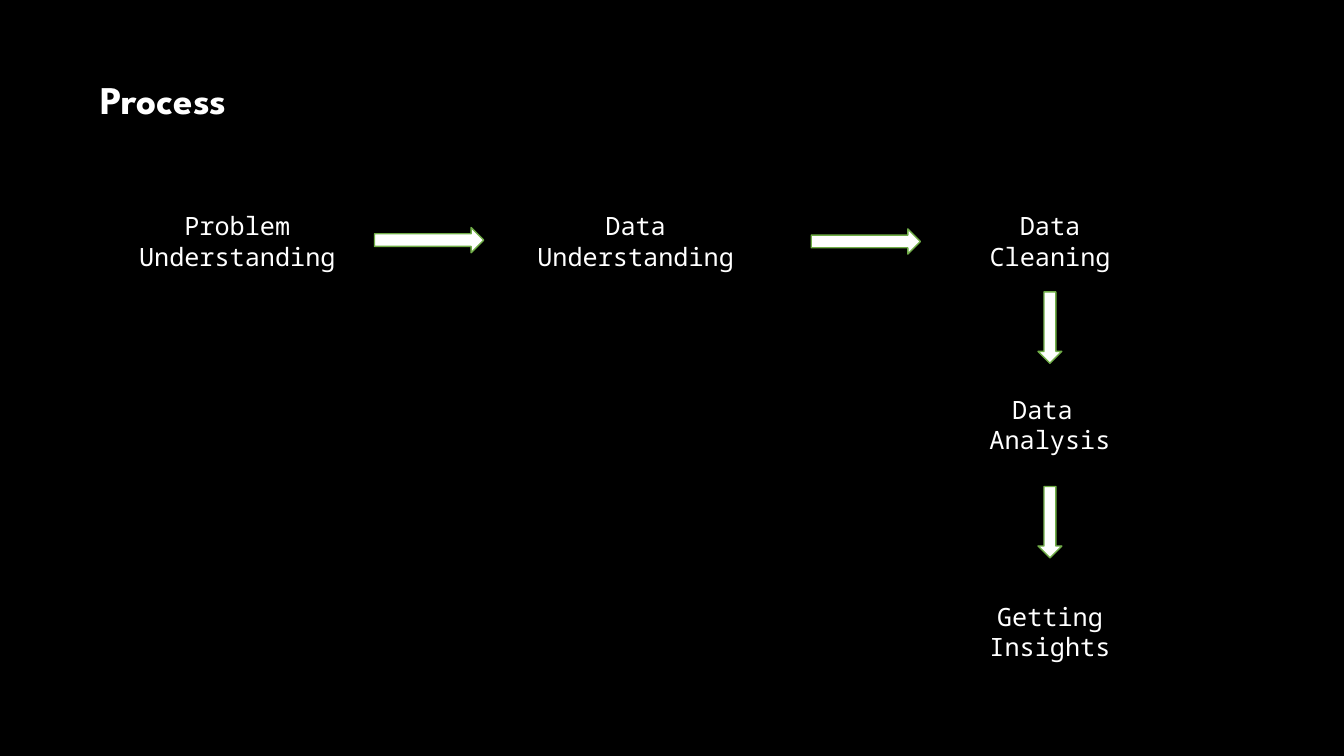
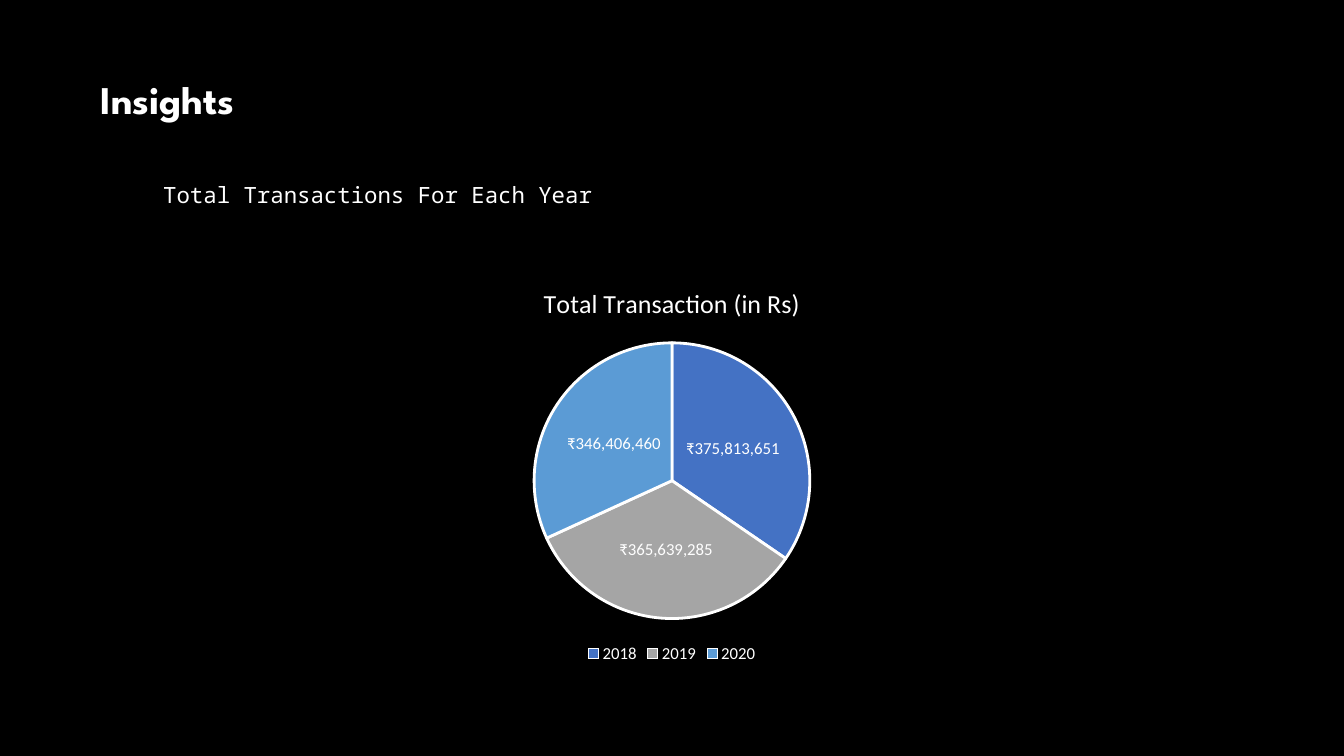
import pptx
import pptx.util
import pptx.chart.data
import pptx.dml.color
import pptx.enum.chart
import pptx.enum.shapes
import pptx.enum.text

Pt = pptx.util.Pt
RGBColor = pptx.dml.color.RGBColor
SHAPE = pptx.enum.shapes.MSO_SHAPE
CENTER = pptx.enum.text.PP_ALIGN.CENTER

BLACK = RGBColor(0x00, 0x00, 0x00)
WHITE = RGBColor(0xFF, 0xFF, 0xFF)
GREEN = RGBColor(0x70, 0xAD, 0x47)
BLUE = RGBColor(0x44, 0x72, 0xC4)
GRAY = RGBColor(0xA5, 0xA5, 0xA5)
SKY = RGBColor(0x5B, 0x9B, 0xD5)

TITLE_FONT, BODY_FONT, CHART_FONT = "League Spartan", "Noto Sans Mono", "Calibri"


def set_font(font, name, size, bold=False):
    font.name, font.size, font.bold = name, Pt(size), bold
    font.color.rgb = WHITE


def add_text(s, box, text, name, size, bold=False, align=None, spacing=None):
    tb = s.shapes.add_textbox(*map(Pt, box))
    tf = tb.text_frame
    tf.word_wrap = True
    tf.text = text
    for p in tf.paragraphs:
        set_font(p.font, name, size, bold)
        p.alignment = align
        p.line_spacing = spacing


def add_slide(prs, title):
    s = prs.slides.add_slide(prs.slide_layouts[6])
    s.background.fill.solid()
    s.background.fill.fore_color.rgb = BLACK
    add_text(s, (65, 50.5, 238, 41), title, TITLE_FONT, 28, bold=True)
    return s


def add_arrow(s, kind, x, y, w, h):
    """Block arrow centred on x, y."""
    sp = s.shapes.add_shape(kind, Pt(x - w / 2), Pt(y - h / 2), Pt(w), Pt(h))
    sp.shadow.inherit = False
    sp.fill.solid()
    sp.fill.fore_color.rgb = WHITE
    sp.line.color.rgb = GREEN
    sp.line.width = Pt(1)


def add_process(s, box):
    left, top, width, height = box
    right = left + width
    step_h = 51

    # Steps: text, centre x, top, width
    steps = [
        ("Problem Understanding", left + 85.5, top, 171),
        ("Data Understanding", left + 370, top, 168),
        ("Data Cleaning", right - 74, top, 148),
        ("Data \nAnalysis", right - 74, top + 131, 116),
        ("Getting Insights", right - 74, top + height - step_h, 116),
    ]
    for text, x, y, w in steps:
        add_text(s, (x - w / 2, y, w, step_h), text, BODY_FONT, 18, align=CENTER)

    # Arrows across, then down
    for x, y in ((222.5, 24.5), (534.5, 25.5)):
        add_arrow(s, SHAPE.RIGHT_ARROW, left + x, top + y, 78, 18)
    for y in (87, 226):
        add_arrow(s, SHAPE.DOWN_ARROW, right - 74, top + y, 17, 51)


def add_pie(s, box, title, years, totals):
    data = pptx.chart.data.CategoryChartData(number_format='"₹"#,##0')
    data.categories = years
    data.add_series(title, totals)
    chart = s.shapes.add_chart(
        pptx.enum.chart.XL_CHART_TYPE.PIE, *map(Pt, box), data).chart
    set_font(chart.font, CHART_FONT, 10)

    # Title and legend
    chart.has_title = True
    chart.chart_title.include_in_layout = False
    chart.chart_title.text_frame.text = title
    set_font(chart.chart_title.text_frame.paragraphs[0].font, CHART_FONT, 18.6)
    chart.has_legend = True
    chart.legend.position = pptx.enum.chart.XL_LEGEND_POSITION.BOTTOM
    chart.legend.include_in_layout = False
    set_font(chart.legend.font, CHART_FONT, 12)

    # Slices
    plot = chart.plots[0]
    plot.vary_by_categories = True
    for i, color in enumerate((BLUE, GRAY, SKY)):
        fmt = plot.series[0].points[i].format
        fmt.fill.solid()
        fmt.fill.fore_color.rgb = color
        fmt.line.color.rgb = WHITE
        fmt.line.width = Pt(2)

    # Labels
    plot.has_data_labels = True
    labels = plot.data_labels
    labels.show_value = True
    labels.show_percentage = False
    labels.number_format = '"₹"#,##0'
    labels.number_format_is_linked = False
    labels.position = pptx.enum.chart.XL_LABEL_POSITION.CENTER
    set_font(labels.font, CHART_FONT, 12)


def main():
    prs = pptx.Presentation()
    prs.slide_width, prs.slide_height = Pt(960), Pt(540)

    s = add_slide(prs, "Process")
    add_process(s, (84, 147, 740, 330))

    s = add_slide(prs, "Insights")
    add_text(s, (109.5, 116.5, 558, 33), "Total Transactions For Each Year",
             BODY_FONT, 16, spacing=1.5)
    add_pie(s, (257.5, 191, 445, 286), "Total Transaction (in Rs)",
            ("2018", "2019", "2020"), (375813651, 365639285, 346406460))

    prs.save("out.pptx")


if __name__ == "__main__":
    main()
